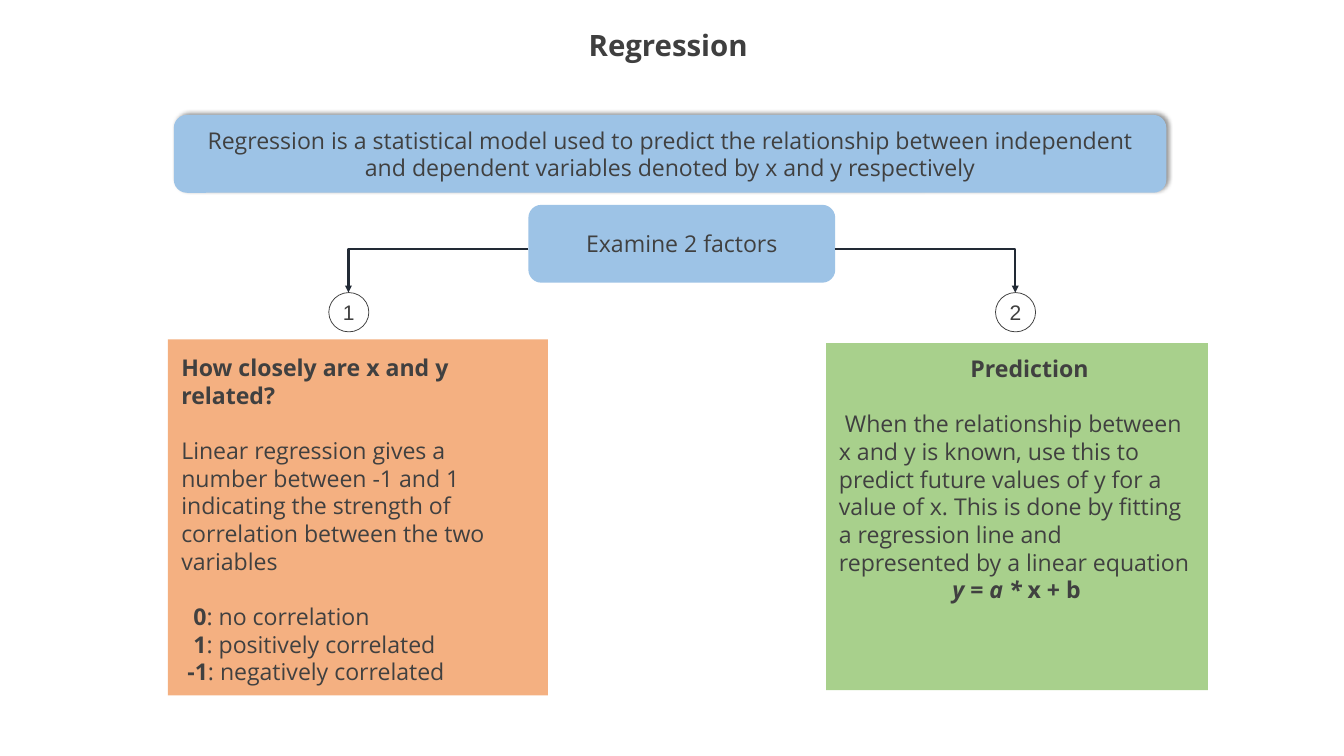
"""Builds the slide that explains regression and its two factors."""
from dataclasses import dataclass

from pptx import Presentation
from pptx.dml.color import RGBColor as Rgb
from pptx.enum.shapes import MSO_CONNECTOR as Connector, MSO_SHAPE as Shape
from pptx.enum.text import MSO_ANCHOR as Anchor, MSO_AUTO_SIZE as Fit, PP_ALIGN as Align
from pptx.oxml import parse_xml
from pptx.oxml.ns import nsdecls, qn
from pptx.util import Emu, Pt

PX = 9144


@dataclass(frozen=True)
class Theme:
    font: str = "Open Sans"
    number_font: str = "Arial"
    title_size: int = 28
    body_size: int = 22
    number_size: int = 20
    paragraph_gap: int = 26
    title: str = "3F3F3F"
    text: str = "404040"
    arrow: str = "222A35"
    banner: str = "9DC3E6"
    relation: str = "F4B081"
    prediction: str = "A8D08C"
    circle: str = "FFFFFF"


THEME = Theme()


def px(*lengths):
    return [Emu(length * PX) for length in lengths]


def color(name):
    return Rgb.from_string(getattr(THEME, name))


def add_run(paragraph, text, style="", size=THEME.body_size, font=THEME.font, ink="text"):
    run = paragraph.add_run()
    run.text = text
    run.font.name, run.font.size = font, Pt(size)
    run.font.bold, run.font.italic = "b" in style, "i" in style
    run.font.color.rgb = color(ink)


def add_title(slide, text, box):
    title = slide.shapes.title
    title.left, title.top, title.width, title.height = px(*box)
    frame = title.text_frame
    frame.auto_size, frame.vertical_anchor = Fit.NONE, Anchor.MIDDLE
    paragraph = frame.paragraphs[0]
    paragraph.alignment, paragraph.line_spacing = Align.CENTER, 0.9
    add_run(paragraph, text, "b", THEME.title_size, ink="title")


def add_block(slide, kind, box, fill, outline=None):
    block = slide.shapes.add_shape(kind, *px(*box))
    block.shadow.inherit = False
    block.fill.solid()
    block.fill.fore_color.rgb = color(fill)
    if outline:
        block.line.color.rgb, block.line.width = color(outline), Pt(0.75)
    else:
        block.line.fill.background()
    return block


def add_label(block, text, **font):
    frame = block.text_frame
    frame.word_wrap, frame.vertical_anchor = True, Anchor.MIDDLE
    frame.paragraphs[0].alignment = Align.CENTER
    add_run(frame.paragraphs[0], text, **font)


def add_soft_shadow(block):
    effects = block._element.spPr.find(qn("a:effectLst"))
    effects.append(parse_xml(
        f'<a:outerShdw {nsdecls("a")} blurRad="{Pt(4)}" dist="{Pt(3)}" dir="18900000" '
        'algn="bl" rotWithShape="0"><a:srgbClr val="000000"><a:alpha val="40000"/>'
        '</a:srgbClr></a:outerShdw>'))


def add_elbow_arrow(slide, start, end):
    arrow = slide.shapes.add_connector(Connector.ELBOW, *px(*start, *end))
    arrow.line.color.rgb, arrow.line.width = color("arrow"), Pt(2.25)
    properties = arrow._element.spPr
    properties.find(qn("a:prstGeom")).set("prst", "bentConnector2")
    properties.find(qn("a:ln")).append(
        parse_xml(f'<a:tailEnd {nsdecls("a")} type="triangle"/>'))
    properties.append(parse_xml(f'<a:effectLst {nsdecls("a")}/>'))


def add_text(slide, box, paragraphs):
    """Fills a box from (gap before, left margin, first-line indent, runs) rows."""
    frame = slide.shapes.add_textbox(*px(*box)).text_frame
    frame.word_wrap = True
    for index, (gap, margin, indent, runs) in enumerate(paragraphs):
        paragraph = frame.add_paragraph() if index else frame.paragraphs[0]
        paragraph.alignment = Align.LEFT
        if gap:
            paragraph.space_before = Pt(THEME.paragraph_gap)
        settings = paragraph._p.get_or_add_pPr()
        settings.set("marL", str(margin * PX))
        settings.set("indent", str(indent * PX))
        for text, style in runs:
            add_run(paragraph, text, style)


def main():
    deck = Presentation()
    deck.slide_width, deck.slide_height = px(1778, 1000)
    slide = deck.slides.add_slide(deck.slide_layouts[5])
    add_title(slide, "Regression", (0, 25, 1768, 75))

    definition = add_block(slide, Shape.ROUNDED_RECTANGLE, (230, 152, 1313, 103), "banner")
    add_soft_shadow(definition)
    add_label(definition, "Regression is a statistical model used to predict the relationship "
              "between independent and dependent variables denoted by x and y respectively")
    factors = add_block(slide, Shape.ROUNDED_RECTANGLE, (699, 271, 406, 103), "banner")
    add_label(factors, "Examine 2 factors")

    for number, edge, center in (("1", 699, 461), ("2", 1104, 1343)):
        add_elbow_arrow(slide, (edge, 329), (center, 387))
        circle = add_block(slide, Shape.OVAL, (center - 26, 387, 53, 52), "circle", "text")
        add_label(circle, number, size=THEME.number_size, font=THEME.number_font)

    add_block(slide, Shape.RECTANGLE, (222, 449, 503, 471), "relation")
    scale = (("0", "no correlation", 16), ("1", "positively correlated", 16),
             ("-1", "negatively correlated", 8))
    add_text(slide, (230, 463, 475, 450), [
        (False, 0, 0, [("How closely are x and y related?", "b")]),
        (True, 0, 0, [("Linear regression gives a number between -1 and 1 indicating "
                       "the strength of correlation between the two variables", "")]),
        *((index == 0, margin, 0, [(value, "b"), (f": {meaning}", "")])
          for index, (value, meaning, margin) in enumerate(scale)),
    ])

    add_block(slide, Shape.RECTANGLE, (1093, 454, 505, 459), "prediction")
    add_text(slide, (1100, 464, 488, 438), [
        (False, 174, 0, [("Prediction", "b")]),
        (True, 0, 8, [("When the relationship between x and y is known, use this to predict "
                       "future values of y for a value of x. This is done by fitting a "
                       "regression line and represented by a linear equation", "")]),
        (False, 150, 0, [("y", "bi"), (" = ", "b"), ("a * ", "bi"), ("x + b", "b")]),
    ])
    deck.save("out.pptx")


if __name__ == "__main__":
    main()
